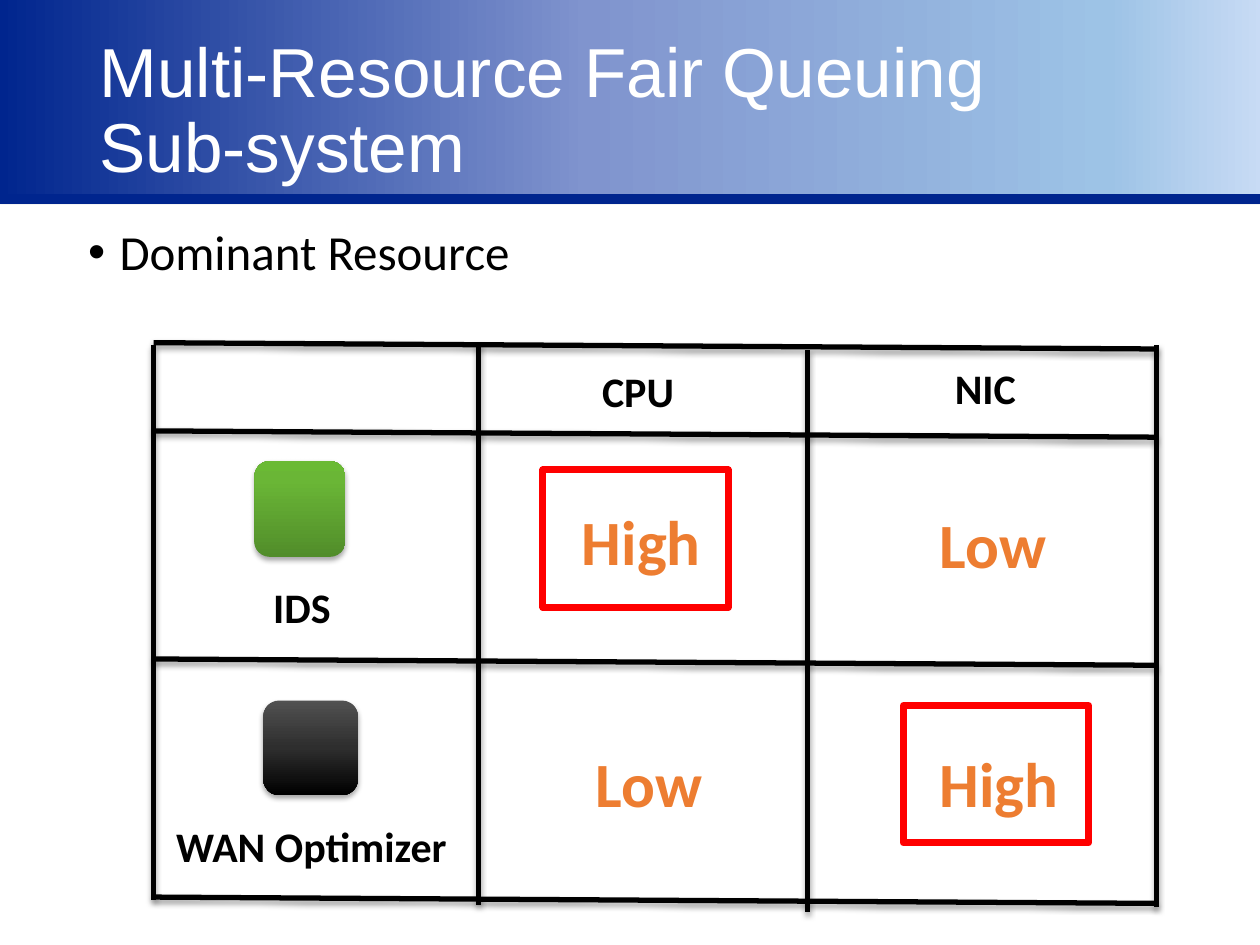
from dataclasses import dataclass
from typing import NamedTuple

from lxml import etree
from pptx import Presentation
from pptx.dml.color import RGBColor
from pptx.enum.shapes import MSO_CONNECTOR, MSO_SHAPE
from pptx.enum.text import MSO_ANCHOR, MSO_AUTO_SIZE, PP_ALIGN
from pptx.oxml.ns import qn
from pptx.util import Inches, Pt

STRAIGHT = MSO_CONNECTOR.STRAIGHT
RECT = MSO_SHAPE.RECTANGLE
ROUND = MSO_SHAPE.ROUNDED_RECTANGLE
MIDDLE = MSO_ANCHOR.MIDDLE
GROW = MSO_AUTO_SIZE.SHAPE_TO_FIT_TEXT
FIXED = MSO_AUTO_SIZE.NONE
LEFT = PP_ALIGN.LEFT


@dataclass(frozen=True)
class Theme:
    head: str = "Arial"
    body: str = "Calibri"
    black: str = "000000"
    white: str = "FFFFFF"
    navy: str = "00258E"
    edge: str = "3F6FC3"
    accent: str = "ED7D31"
    mark: str = "FF0000"
    title: float = 39.6
    point: float = 28
    label: float = 24
    level: float = 36
    sky: tuple = ((0, "00258E"), (43, "8094CE"), (81, "9DC3E6"), (100, "E7ECFF"))
    green: tuple = ((0, "518D2A"), (80, "6AB636"), (100, "6ABA34"))
    dark: tuple = ((0, "515151"), (50, "2E2E2E"), (100, "000000"))


class Box(NamedTuple):
    left: float
    top: float
    width: float
    height: float


class Shade(NamedTuple):
    alpha: int
    blur: float
    gap: float


class Label(NamedTuple):
    text: str
    box: Box
    size: float
    color: str


class Rule(NamedTuple):
    start: tuple
    end: tuple


class Icon(NamedTuple):
    box: Box
    stops: tuple
    turn: int


THEME = Theme()
SOFT = Shade(35, 3.1, 1.8)
BAND = Shade(38, 3.1, 1.6)
X0, X1 = 1.22, 9.18
SLANT = 0.05

RULES = [Rule((X0, y), (X1, y + SLANT)) for y in (2.72, 3.42, 5.23, 7.12)] + [
    Rule((x, top), (x, end))
    for x, top, end in ((X0, 2.74, 7.14), (3.8, 2.72, 7.18), (6.41, 2.78, 7.24), (X1, 2.74, 7.2))
]
ICONS = [
    Icon(Box(2.02, 3.66, 0.72, 0.76), THEME.green, 270),
    Icon(Box(2.09, 5.56, 0.75, 0.75), THEME.dark, 90),
]
LABELS = [
    Label(text, Box(x, y, width, 0.5), THEME.label, THEME.black)
    for text, x, y, width in (
        ("CPU", 4.68, 2.85, 1.7),
        ("NIC", 7.48, 2.83, 1.7),
        ("IDS", 2.07, 4.57, 1.7),
        ("WAN Optimizer", 1.3, 6.46, 2.48),
    )
] + [
    Label(text, Box(x, y, 2.11, 0.71), THEME.level, THEME.accent)
    for text, x, y in (
        ("High", 4.52, 3.94),
        ("Low", 7.36, 3.96),
        ("Low", 4.63, 5.86),
        ("High", 7.36, 5.86),
    )
]
MARKS = [Box(x, y, 1.47, 1.09) for x, y in ((4.31, 3.73), (7.17, 5.6))]


def rgb(color: str) -> RGBColor:
    return RGBColor.from_string(color)


def inches(box: Box) -> list:
    return [Inches(part) for part in box]


def cast(shape, shade: Shade | None) -> None:
    props = shape.element.spPr
    effects = props.find(qn("a:effectLst"))
    if effects is None:
        effects = etree.SubElement(props, qn("a:effectLst"))
    if shade:
        outer = etree.SubElement(
            effects, qn("a:outerShdw"), blurRad=str(Pt(shade.blur)), dist=str(Pt(shade.gap)),
            dir="5400000", rotWithShape="0")
        color = etree.SubElement(outer, qn("a:srgbClr"), val=THEME.black)
        etree.SubElement(color, qn("a:alpha"), val=str(shade.alpha * 1000))


def blend(shape, stops: tuple, turn: int) -> None:
    shape.fill.gradient()
    shape.fill.gradient_angle = -turn % 360
    group = shape.element.spPr.find(qn("a:gradFill")).find(qn("a:gsLst"))
    for old in list(group):
        group.remove(old)
    for place, color in stops:
        stop = etree.SubElement(group, qn("a:gs"), pos=str(place * 1000))
        etree.SubElement(stop, qn("a:srgbClr"), val=color)


def draw_shape(slide, kind, box: Box, shade: Shade | None = None):
    shape = slide.shapes.add_shape(kind, *inches(box))
    shape.shadow.inherit = False
    cast(shape, shade)
    return shape


def edge(shape, color: str, width: float) -> None:
    shape.line.color.rgb = rgb(color)
    shape.line.width = Pt(width)


def draw_rule(slide, rule: Rule, color: str, width: float, shade: Shade | None) -> None:
    line = slide.shapes.add_connector(STRAIGHT, *inches(rule.start + rule.end))
    edge(line, color, width)
    cast(line, shade)


def style(par, face: str, size: float, color: str, bold: bool = False) -> None:
    for run in par.runs:
        run.font.name = face
        run.font.size = Pt(size)
        run.font.color.rgb = rgb(color)
        run.font.bold = bold


def draw_label(slide, label: Label) -> None:
    frame = slide.shapes.add_textbox(*inches(label.box)).text_frame
    frame.word_wrap = True
    frame.auto_size = GROW
    frame.text = label.text
    style(frame.paragraphs[0], THEME.body, label.size, label.color, True)


def draw_head(slide) -> None:
    band = draw_shape(slide, RECT, Box(-0.01, -0.1, 10.87, 1.65), BAND)
    blend(band, THEME.sky, 0)
    edge(band, THEME.edge, 0.75)
    draw_rule(slide, Rule((-0.79, 1.58), (10.56, 1.58)), THEME.navy, 6, None)
    title = slide.shapes.title
    title.element.getparent().append(title.element)
    title.left, title.top, title.width, title.height = inches(Box(0.69, 0.24, 10.18, 1.3))
    frame = title.text_frame
    frame.text = "Multi-Resource Fair Queuing\vSub-system"
    frame.auto_size = FIXED
    frame.vertical_anchor = MIDDLE
    par = frame.paragraphs[0]
    par.alignment = LEFT
    par.line_spacing = 0.9
    style(par, THEME.head, THEME.title, THEME.white)


def draw_point(slide) -> None:
    frame = slide.shapes.add_textbox(*inches(Box(0.6, 1.76, 8.62, 4.76))).text_frame
    frame.word_wrap = True
    frame.text = "Dominant Resource"
    par = frame.paragraphs[0]
    par.line_spacing = 0.9
    props = par._p.get_or_add_pPr()
    props.set("marL", str(Inches(0.25)))
    props.set("indent", str(Inches(-0.25)))
    etree.SubElement(props, qn("a:buFont"), typeface=THEME.head)
    etree.SubElement(props, qn("a:buChar"), char="•")
    style(par, THEME.body, THEME.point, THEME.black)


def main() -> None:
    deck = Presentation()
    deck.slide_width, deck.slide_height = Inches(10), Inches(7.5)
    slide = deck.slides.add_slide(deck.slide_layouts[5])
    draw_head(slide)
    draw_point(slide)
    for icon in ICONS:
        shape = draw_shape(slide, ROUND, icon.box, SOFT)
        blend(shape, icon.stops, icon.turn)
        shape.line.fill.background()
    for rule in RULES:
        draw_rule(slide, rule, THEME.black, 3, SOFT)
    for label in LABELS:
        draw_label(slide, label)
    for box in MARKS:
        mark = draw_shape(slide, RECT, box)
        mark.fill.background()
        edge(mark, THEME.mark, 4)
    deck.save("out.pptx")


if __name__ == "__main__":
    main()
